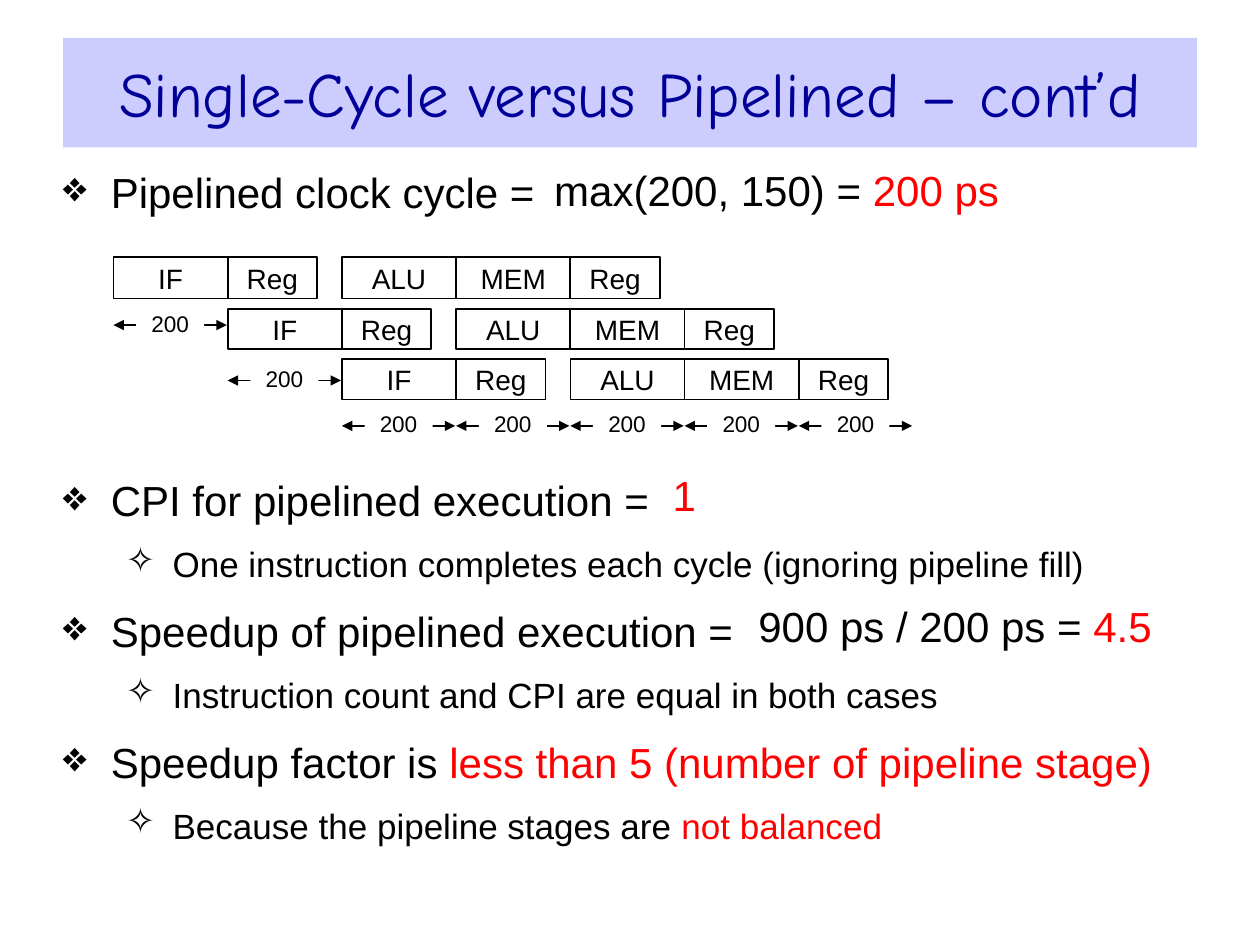
import pptx
import pptx.util
import pptx.dml.color
import pptx.enum.shapes
import pptx.enum.text
import pptx.oxml
import pptx.oxml.ns
import lxml.etree

Inches = pptx.util.Inches
Pt = pptx.util.Pt
RGBColor = pptx.dml.color.RGBColor
ALIGN = pptx.enum.text.PP_ALIGN
ANCHOR = pptx.enum.text.MSO_ANCHOR
qn = pptx.oxml.ns.qn

BLACK = RGBColor(0x00, 0x00, 0x00)
WHITE = RGBColor(0xFF, 0xFF, 0xFF)
RED = RGBColor(0xFF, 0x00, 0x00)
NAVY = RGBColor(0x00, 0x00, 0x99)
LILAC = RGBColor(0xCC, 0xCC, 0xFF)

# Pipeline grid: one step is one clock cycle
LEFT = 0.9
STEP = 5.44 / 6
STAGES = [("IF", STEP), ("Reg", 0.71), ("ALU", STEP), ("MEM", STEP), ("Reg", 0.71)]
ROWS = [(2.04, 0.33), (2.45, 0.32), (2.85, 0.32)]
SPANS = [(0, 2.58), (1, 3.02)] + [(cycle, 3.38) for cycle in range(2, 7)]

# Bullet levels: mark, text size, left margin, hanging indent, space before
LEVELS = [("❖", 24, 0.38, 0.38, 12), ("✧", 20, 0.87, 0.37, 10)]


def write(para, *runs, size=24, font="Arial", color=BLACK, align=ALIGN.LEFT):
    """Fill a paragraph; a run is a text or a (text, colour) pair."""
    para.alignment = align
    for part in runs:
        text, tint = (part, color) if isinstance(part, str) else part
        run = para.add_run()
        run.text = text
        run.font.size = Pt(size)
        run.font.name = font
        run.font.color.rgb = tint


def set_frame(frame, side=0.0, edge=0.0, wrap=True, anchor=ANCHOR.TOP):
    frame.margin_left = frame.margin_right = Inches(side)
    frame.margin_top = frame.margin_bottom = Inches(edge)
    frame.word_wrap = wrap
    frame.vertical_anchor = anchor


def add_title(slide, text):
    title = slide.shapes.title
    title.left, title.top = Inches(0.5), Inches(0.3)
    title.width, title.height = Inches(9), Inches(0.87)
    title.fill.solid()
    title.fill.fore_color.rgb = LILAC
    set_frame(title.text_frame, side=0.1, edge=0.05, anchor=ANCHOR.MIDDLE)
    write(title.text_frame.paragraphs[0], text, size=36, font="Comic Neue",
          color=NAVY, align=ALIGN.CENTER)


def add_mark(para, mark, margin, hang):
    props = para._p.get_or_add_pPr()
    props.set("marL", str(Inches(margin)))
    props.set("indent", str(-Inches(hang)))
    tint = lxml.etree.SubElement(props, qn("a:buClr"))
    lxml.etree.SubElement(tint, qn("a:srgbClr")).set("val", str(BLACK))
    lxml.etree.SubElement(props, qn("a:buChar")).set("char", mark)


def add_list(slide, top, height, items):
    box = slide.shapes.add_textbox(Inches(0.5), Inches(top), Inches(9), Inches(height))
    frame = box.text_frame
    set_frame(frame, edge=0.05)
    for index, (level, *runs) in enumerate(items):
        para = frame.add_paragraph() if index else frame.paragraphs[0]
        mark, size, margin, hang, space = LEVELS[level]
        para.level = level
        add_mark(para, mark, margin, hang)
        if index:
            para.space_before = Pt(space)
        write(para, *runs, size=size)


def add_answer(slide, left, top, width, *runs):
    box = slide.shapes.add_textbox(Inches(left), Inches(top), Inches(width), Inches(0.5))
    set_frame(box.text_frame, side=0.1, edge=0.05, wrap=False)
    write(box.text_frame.paragraphs[0], *runs)


def add_box(slide, left, top, width, height, text, size, fill=None, line=None):
    box = slide.shapes.add_shape(
        pptx.enum.shapes.MSO_SHAPE.RECTANGLE,
        Inches(left), Inches(top), Inches(width), Inches(height))
    box.shadow.inherit = False
    if fill is None:
        box.fill.background()
    else:
        box.fill.solid()
        box.fill.fore_color.rgb = fill
    if line is None:
        box.line.fill.background()
    else:
        box.line.color.rgb = line
        box.line.width = Pt(1)
    set_frame(box.text_frame, anchor=ANCHOR.MIDDLE)
    write(box.text_frame.paragraphs[0], text, size=size, align=ALIGN.CENTER)


def add_span(slide, left, mid):
    """Draw a double arrow over one cycle with its time in the middle."""
    arrow = slide.shapes.add_connector(
        pptx.enum.shapes.MSO_CONNECTOR.STRAIGHT,
        Inches(left), Inches(mid), Inches(left + 0.9), Inches(mid))
    arrow.line.color.rgb = BLACK
    arrow.line.width = Pt(1)
    line = arrow.line._get_or_add_ln()
    for end in ("a:headEnd", "a:tailEnd"):
        lxml.etree.SubElement(line, qn(end)).set("type", "triangle")
    lxml.etree.SubElement(arrow._element.spPr, qn("a:effectLst"))
    add_box(slide, left + 0.18, mid - 0.13, 0.54, 0.23, "200", 12.9, fill=WHITE)


def add_pipeline(slide):
    for cycle, mid in SPANS:
        add_span(slide, LEFT + cycle * STEP, mid)
    for row, (top, height) in enumerate(ROWS):
        for col, (name, width) in enumerate(STAGES):
            add_box(slide, LEFT + (row + col) * STEP, top, width, height,
                    name, 16, line=BLACK)


def main():
    deck = pptx.Presentation()
    deck.slide_width, deck.slide_height = Inches(10), Inches(7.5)
    slide = deck.slides.add_slide(deck.slide_layouts[5])
    add_title(slide, "Single-Cycle versus Pipelined – cont’d")

    # Statements above and below the diagram
    add_list(slide, 1.27, 0.5, [(0, "Pipelined clock cycle =")])
    add_list(slide, 3.72, 3.1, [
        (0, "CPI for pipelined execution ="),
        (1, "One instruction completes each cycle (ignoring pipeline fill)"),
        (0, "Speedup of pipelined execution ="),
        (1, "Instruction count and CPI are equal in both cases"),
        (0, "Speedup factor is ", ("less than 5 (number of pipeline stage)", RED)),
        (1, "Because the pipeline stages are ", ("not balanced", RED)),
    ])

    # Answers beside the statements
    add_answer(slide, 4.3, 1.26, 3.73, "max(200, 150) = ", ("200 ps", RED))
    add_answer(slide, 5.24, 3.68, 0.38, ("1", RED))
    add_answer(slide, 5.92, 4.72, 3.32, "900 ps / 200 ps = ", ("4.5", RED))

    add_pipeline(slide)
    deck.save("out.pptx")


if __name__ == "__main__":
    main()
